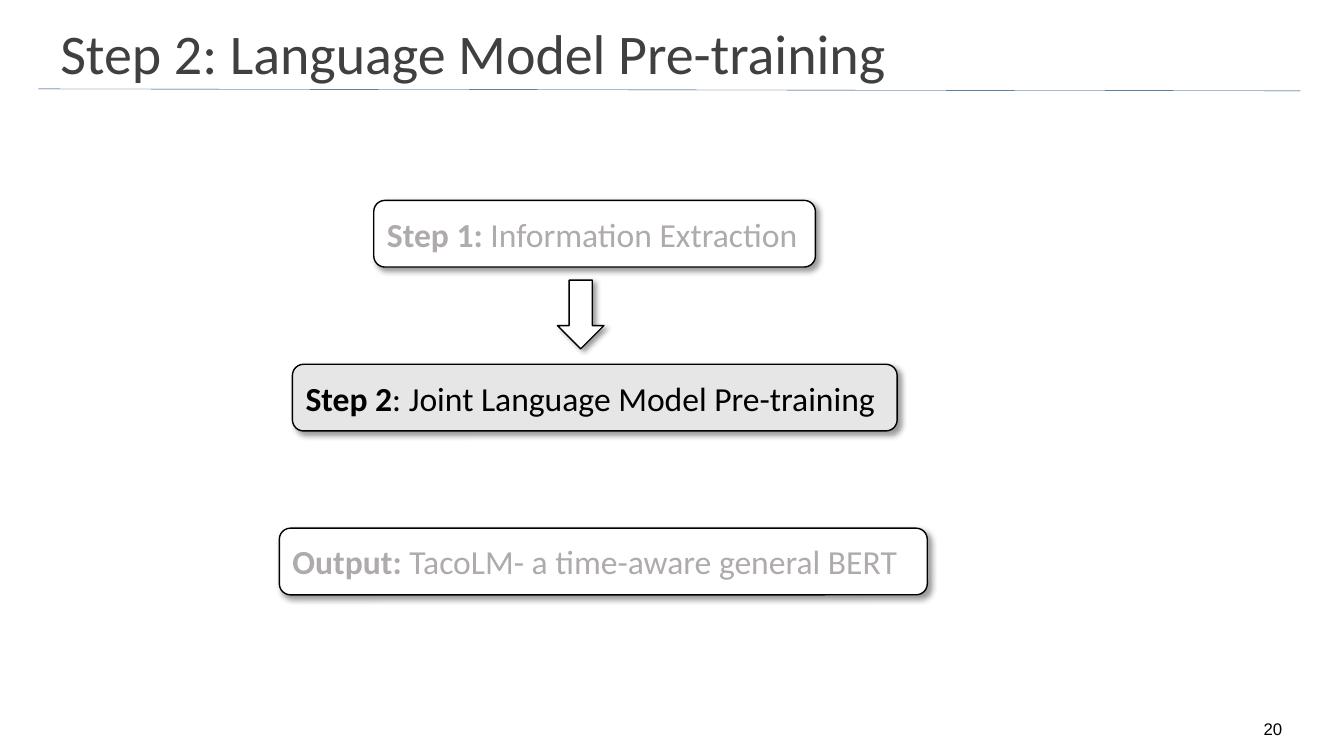
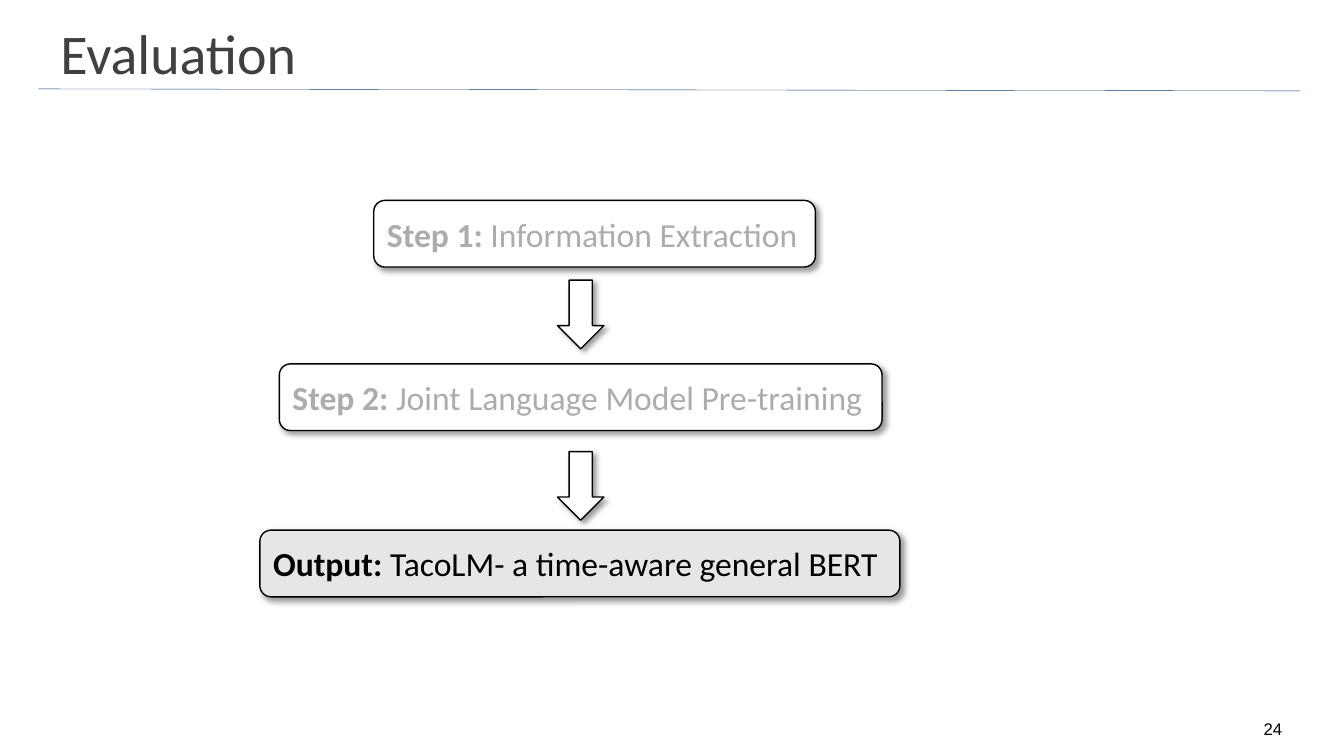
from lxml import etree
from pptx import Presentation
from pptx.dml.color import RGBColor
from pptx.enum.shapes import MSO_CONNECTOR, MSO_SHAPE
from pptx.enum.text import MSO_ANCHOR, PP_ALIGN
from pptx.oxml.ns import qn
from pptx.util import Cm, Pt

ROUND, DOWN = MSO_SHAPE.ROUNDED_RECTANGLE, MSO_SHAPE.DOWN_ARROW
LINE = MSO_CONNECTOR.STRAIGHT
LEFT, CENTER = PP_ALIGN.LEFT, PP_ALIGN.CENTER
MIDDLE, BOTTOM = MSO_ANCHOR.MIDDLE, MSO_ANCHOR.BOTTOM


def color(text):
    return RGBColor.from_string(text)


class Deck:
    # Shared style
    font, digits = "Calibri", "Arial"
    black, white = "000000", "FFFFFF"
    dark, rule = "404040", "093D6E"
    faded, active = "AFABAB", "E7E6E6"

    def __init__(self):
        self.file = Presentation()
        self.file.slide_width, self.file.slide_height = Cm(33.87), Cm(19.05)
        self.slide = None

    def page(self, title, number):
        """Start a slide with its title, rule and number."""
        self.slide = self.file.slides.add_slide(self.file.slide_layouts[6])
        self.line(0.97, 2.24, 32.77, 2.29)
        self.label(title, (1.27, 0.58, 27.46, 1.47), 40, self.font,
                   self.dark, LEFT, MIDDLE)
        self.label(str(number), (31.37, 18.11, 1.42, 0.64), 12, self.digits,
                   self.black, CENTER, BOTTOM)

    def line(self, *ends):
        line = self.slide.shapes.add_connector(LINE, *map(Cm, ends))
        line.line.color.rgb = color(self.rule)
        line.line.width = Pt(0.25)
        etree.SubElement(line._element.spPr, qn("a:effectLst"))

    def style(self, run, size, font, tint, bold=False):
        run.font.size, run.font.name, run.font.bold = Pt(size), font, bold
        run.font.color.rgb = color(tint)

    def label(self, text, place, size, font, tint, align, anchor):
        frame = self.slide.shapes.add_textbox(*map(Cm, place)).text_frame
        frame.word_wrap = True
        frame.vertical_anchor = anchor
        frame.text = text
        par = frame.paragraphs[0]
        par.alignment = align
        self.style(par.runs[0], size, font, tint)

    def shape(self, kind, place, fill):
        """Add an outlined shape with a soft shadow."""
        shape = self.slide.shapes.add_shape(kind, *map(Cm, place))
        shape.fill.solid()
        shape.fill.fore_color.rgb = color(fill)
        shape.line.color.rgb = color(self.black)
        shape.line.width = Pt(1)
        shape.shadow.inherit = False
        glow = etree.SubElement(
            shape._element.spPr.find(qn("a:effectLst")), qn("a:outerShdw"),
            blurRad=str(Pt(4)), dist=str(Pt(3)), dir="2700000",
            algn="tl", rotWithShape="0")
        tint = etree.SubElement(glow, qn("a:srgbClr"), val=self.black)
        etree.SubElement(tint, qn("a:alpha"), val="40000")
        return shape

    def step(self, head, body, left, top, width, active=False):
        shape = self.shape(ROUND, (left, top, width, 1.68),
                           self.active if active else self.white)
        frame = shape.text_frame
        frame.word_wrap = True
        frame.vertical_anchor = MIDDLE
        par = frame.paragraphs[0]
        par.alignment = LEFT
        for text, bold in ((head, True), (body, False)):
            run = par.add_run()
            run.text = text
            self.style(run, 24, self.font,
                       self.black if active else self.faded, bold)

    def arrow(self, top):
        self.shape(DOWN, (14.05, top, 1.17, 1.73), self.white)


def main():
    deck = Deck()
    first = ("Step 1: ", "Information Extraction", 9.42, 5.05, 11.13)
    joint = "Joint Language Model Pre-training"
    model = "TacoLM- a time-aware general BERT"

    # Pre-training step
    deck.page("Step 2: Language Model Pre-training", 20)
    deck.step(*first)
    deck.step("Step 2", ": " + joint, 7.37, 9.18, 15.24, active=True)
    deck.step("Output: ", model, 7.04, 13.31, 16.33)
    deck.arrow(7.06)

    # Evaluation of the output
    deck.page("Evaluation", 24)
    deck.step(*first)
    deck.step("Step 2: ", joint, 7.04, 9.17, 15.19)
    deck.step("Output: ", model, 6.55, 13.36, 16.13, active=True)
    for top in (7.06, 11.38):
        deck.arrow(top)

    deck.file.save("out.pptx")


if __name__ == "__main__":
    main()
